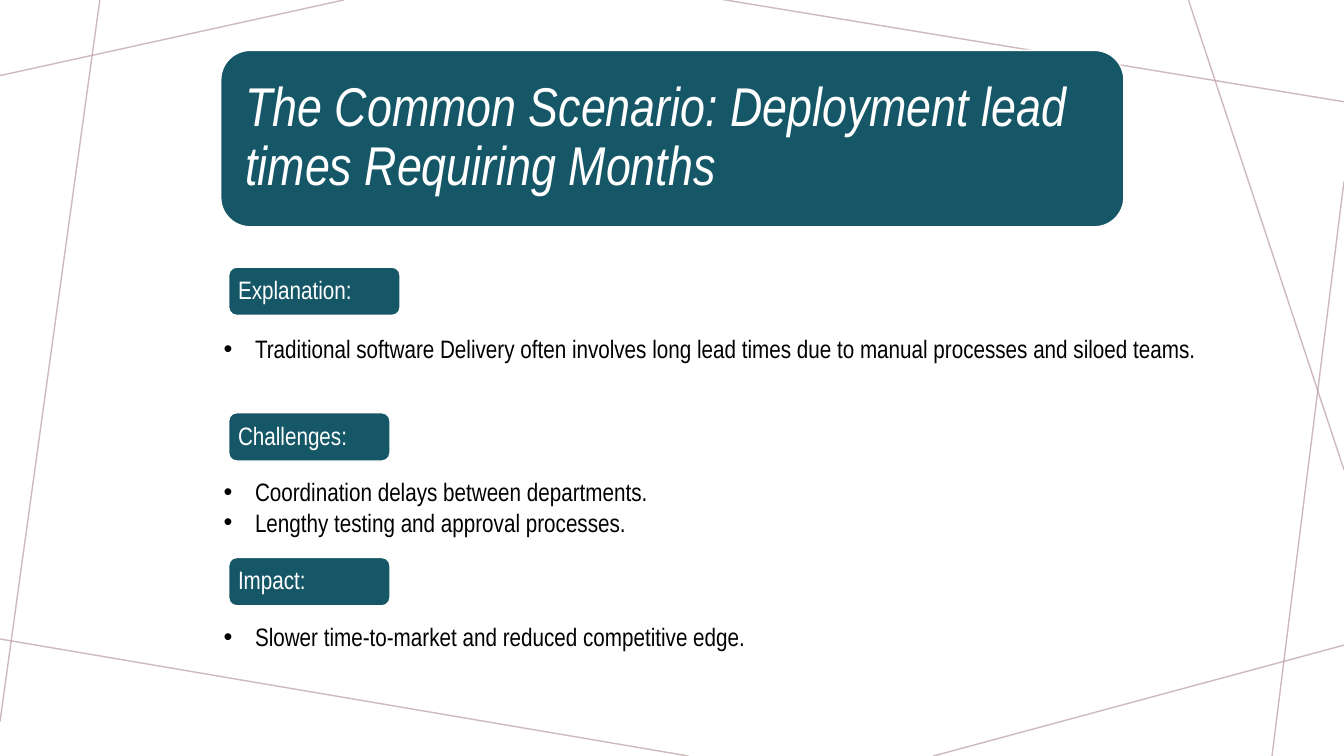
import pptx
import pptx.util
import pptx.dml.color
import pptx.enum.shapes
import pptx.enum.text
from lxml import etree
from pptx.oxml.ns import qn

Pt = pptx.util.Pt
RGBColor = pptx.dml.color.RGBColor

TEAL = RGBColor(0x15, 0x57, 0x67)
WHITE = RGBColor(0xFF, 0xFF, 0xFF)
BLACK = RGBColor(0, 0, 0)
MAUVE = RGBColor(0xBA, 0x9C, 0xA0)
FONT = "Arial Narrow"

# Start and end of each background line: x1, y1, x2, y2
BACKGROUND_LINES = [
    (245.5, 0, 0, 54),
    (71.3, 0, 0, 515.5),
    (491.8, 540, -3.6, 455.8),
    (960, 460.8, 666.7, 540),
    (960, 129.6, 908.6, 540),
    (960, 335.5, 848.9, 0),
    (960, 72.7, 514.1, -0.7),
]

# Label, its top and width, then the bullets with their top, width and height
SECTIONS = [
    ("Explanation:", 190.8, 122.4,
     ["Traditional software Delivery often involves long lead times "
      "due to manual processes and siloed teams."], 234.7, 717.1, 29),
    ("Challenges:", 294.8, 115.2,
     ["Coordination delays between departments.",
      "Lengthy testing and approval processes."], 337, 319.7, 51),
    ("Impact:", 398.2, 115.2,
     ["Slower time-to-market and reduced competitive edge."], 440.6, 391.7, 29),
]


def set_font(para, size, color, italic=False):
    para.font.name = FONT
    para.font.size = Pt(size)
    para.font.color.rgb = color
    para.font.italic = italic


def add_background_line(page, x1, y1, x2, y2):
    line = page.shapes.add_connector(
        pptx.enum.shapes.MSO_CONNECTOR.STRAIGHT, Pt(x1), Pt(y1), Pt(x2), Pt(y2))
    line.line.width = Pt(1)
    line.line.color.rgb = MAUVE
    properties = line._element.spPr
    color = properties.find(".//" + qn("a:srgbClr"))
    etree.SubElement(color, qn("a:alpha"), val="70000")
    etree.SubElement(properties, qn("a:effectLst"))


def add_banner(page, text, left, top, width, height, inset, size, italic=False):
    """Add a teal rounded box with white text at its left."""
    box = page.shapes.add_shape(
        pptx.enum.shapes.MSO_SHAPE.ROUNDED_RECTANGLE,
        Pt(left), Pt(top), Pt(width), Pt(height))
    box.shadow.inherit = False
    box.fill.solid()
    box.fill.fore_color.rgb = TEAL
    box.line.color.rgb = WHITE
    box.line.width = Pt(1)
    frame = box.text_frame
    frame.word_wrap = True
    frame.vertical_anchor = pptx.enum.text.MSO_ANCHOR.MIDDLE
    frame.margin_left = frame.margin_right = Pt(inset)
    frame.margin_top = frame.margin_bottom = Pt(inset)
    para = frame.paragraphs[0]
    para.text = text
    para.alignment = pptx.enum.text.PP_ALIGN.LEFT
    para.line_spacing = 0.9
    set_font(para, size, WHITE, italic)


def add_bullets(page, items, top, width, height):
    box = page.shapes.add_textbox(Pt(152.6), Pt(top), Pt(width), Pt(height))
    frame = box.text_frame
    frame.word_wrap = False
    frame.auto_size = pptx.enum.text.MSO_AUTO_SIZE.SHAPE_TO_FIT_TEXT
    for index, item in enumerate(items):
        para = frame.add_paragraph() if index else frame.paragraphs[0]
        para.text = item
        properties = para._p.get_or_add_pPr()
        properties.set("marL", str(Pt(22.5)))
        properties.set("indent", str(Pt(-22.5)))
        etree.SubElement(properties, qn("a:buFont"), typeface="Arial")
        etree.SubElement(properties, qn("a:buChar"), char="•")
        set_font(para, 18, BLACK)


def main():
    deck = pptx.Presentation()
    deck.slide_width, deck.slide_height = Pt(960), Pt(540)
    page = deck.slides.add_slide(deck.slide_layouts[6])
    for ends in BACKGROUND_LINES:
        add_background_line(page, *ends)
    add_banner(page, "The Common Scenario: Deployment lead times Requiring Months",
               157.7, 36, 645.1, 126, 11.5, 39, italic=True)
    for label, label_top, label_width, items, top, width, height in SECTIONS:
        add_banner(page, label, 163.4, label_top, label_width, 34.5, 5, 18)
        add_bullets(page, items, top, width, height)
    deck.save("out.pptx")


if __name__ == "__main__":
    main()
